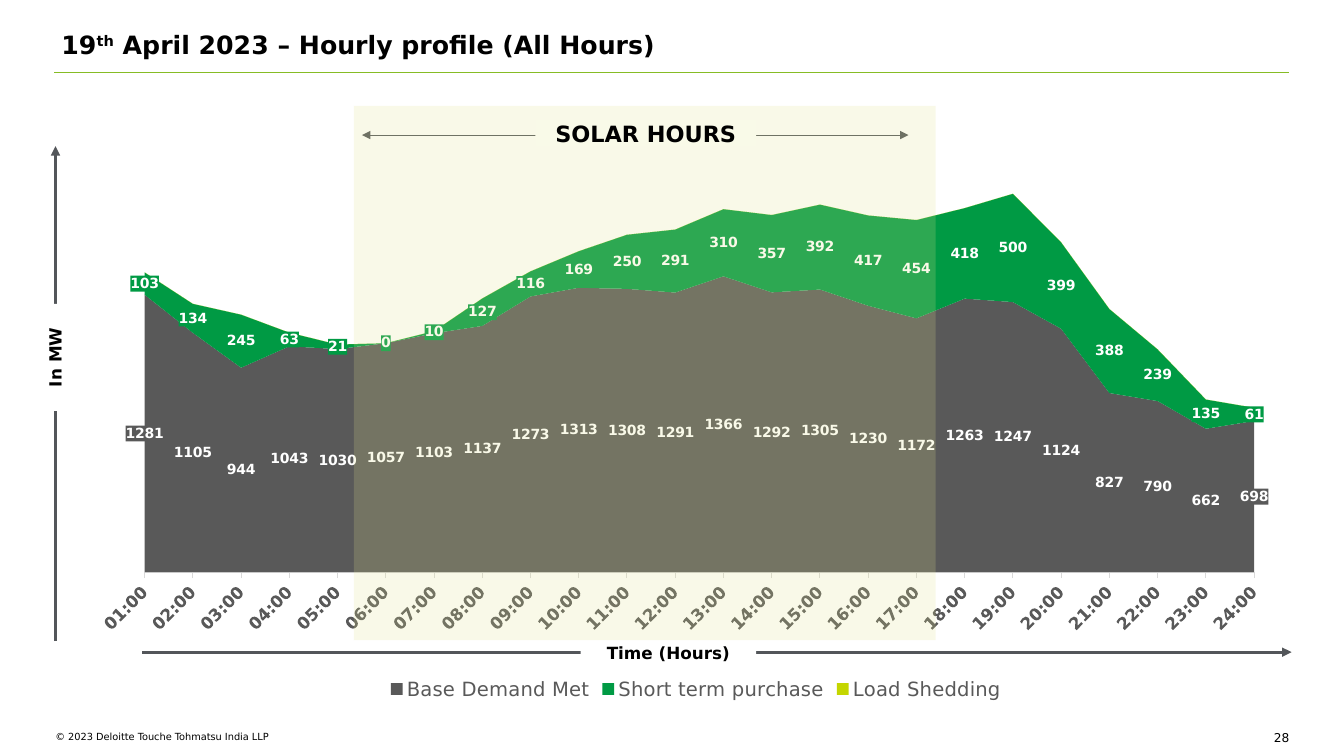
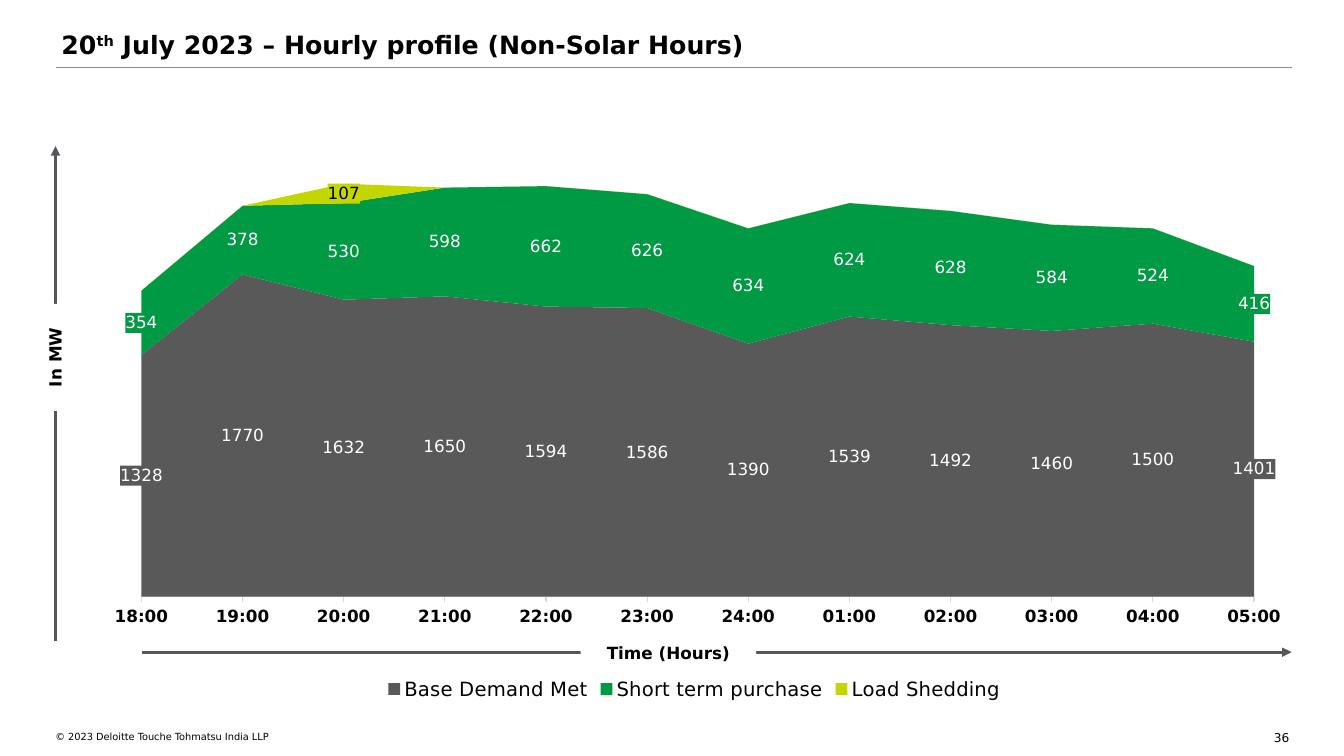
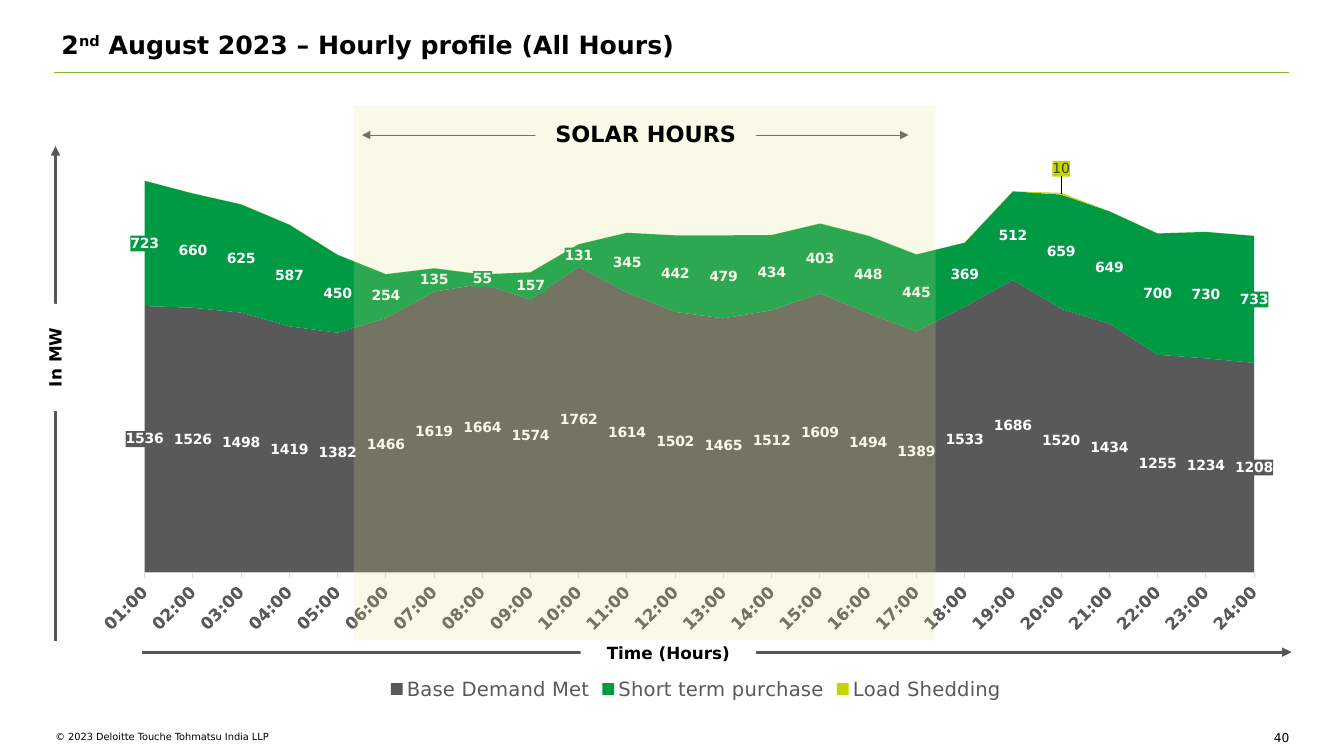
from dataclasses import dataclass

from pptx import Presentation
from pptx.chart.data import CategoryChartData
from pptx.dml.color import RGBColor
from pptx.enum.chart import XL_CHART_TYPE, XL_LEGEND_POSITION, XL_TICK_MARK
from pptx.enum.shapes import MSO_CONNECTOR, MSO_SHAPE
from pptx.enum.text import MSO_ANCHOR, MSO_AUTO_SIZE, PP_ALIGN
from pptx.oxml import parse_xml
from pptx.oxml.ns import nsdecls, qn
from pptx.util import Inches, Pt

AREA_STACKED = XL_CHART_TYPE.AREA_STACKED
LEGEND_BOTTOM = XL_LEGEND_POSITION.BOTTOM
TICK_OUT, TICK_NONE = XL_TICK_MARK.OUTSIDE, XL_TICK_MARK.NONE
STRAIGHT = MSO_CONNECTOR.STRAIGHT
RECT = MSO_SHAPE.RECTANGLE
TOP, MIDDLE = MSO_ANCHOR.TOP, MSO_ANCHOR.MIDDLE
NO_FIT = MSO_AUTO_SIZE.NONE
LEFT, CENTER, RIGHT = PP_ALIGN.LEFT, PP_ALIGN.CENTER, PP_ALIGN.RIGHT


@dataclass(frozen=True)
class Theme:
    font: str = "DejaVu Sans"
    black: str = "000000"
    white: str = "FFFFFF"
    gray: str = "595959"
    dark: str = "404040"
    arrow: str = "53565A"
    rule_green: str = "86BC25"
    rule_gray: str = "8C8C8C"
    axis: str = "D9D9D9"
    green: str = "009A44"
    lime: str = "C4D600"
    solar: str = "E3E48D"
    solar_label: str = "F9FAE8"
    title_size: float = 18
    solar_size: float = 16
    legend_size: float = 14
    axis_size: float = 12
    label_size: float = 10
    number_size: float = 8.7
    footer_size: float = 7


T = Theme()
HOURS = [f"{h:02}:00" for h in range(1, 25)]
SERIES = [
    ("Base Demand Met", T.gray),
    ("Short term purchase", T.green),
    ("Load Shedding", T.lime),
]
ALL_HOURS = dict(
    cats=HOURS, solar=True, rule=(0.54, 12.78, 0.72, T.rule_green, 1),
    chart_top=0.77, chart_height=6.22, plot_height=0.691, axis_color=T.gray,
    label_size=T.label_size, label_bold=True, shed_color=T.dark, rotation=-45,
)
NON_SOLAR = dict(
    cats=HOURS[17:] + HOURS[:5], solar=False, rule=(0.56, 12.81, 0.67, T.rule_gray, 0.75),
    chart_top=0.8, chart_height=6.19, plot_height=0.729, axis_color=T.black,
    label_size=T.axis_size, label_bold=False, shed_color=T.black, rotation=0,
)
SLIDES = [
    dict(
        ALL_HOURS, number=28, day="19", suffix="th",
        rest=" April 2023 – Hourly profile (All Hours)", top=2000, shed=None, shed_shift=0,
        base=[1281, 1105, 944, 1043, 1030, 1057, 1103, 1137, 1273, 1313, 1308, 1291,
              1366, 1292, 1305, 1230, 1172, 1263, 1247, 1124, 827, 790, 662, 698],
        short=[103, 134, 245, 63, 21, 0, 10, 127, 116, 169, 250, 291,
               310, 357, 392, 417, 454, 418, 500, 399, 388, 239, 135, 61],
    ),
    dict(
        NON_SOLAR, number=36, day="20", suffix="th",
        rest=" July 2023 – Hourly profile (Non-Solar Hours)", top=2500,
        shed=("20:00", 107), shed_shift=0,
        base=[1328, 1770, 1632, 1650, 1594, 1586, 1390, 1539, 1492, 1460, 1500, 1401],
        short=[354, 378, 530, 598, 662, 626, 634, 624, 628, 584, 524, 416],
    ),
    dict(
        ALL_HOURS, number=40, day="2", suffix="nd",
        rest=" August 2023 – Hourly profile (All Hours)", top=2500,
        shed=("20:00", 10), shed_shift=-0.04,
        base=[1536, 1526, 1498, 1419, 1382, 1466, 1619, 1664, 1574, 1762, 1614, 1502,
              1465, 1512, 1609, 1494, 1389, 1533, 1686, 1520, 1434, 1255, 1234, 1208],
        short=[723, 660, 625, 587, 450, 254, 135, 55, 157, 131, 345, 442,
               479, 434, 403, 448, 445, 369, 512, 659, 649, 700, 730, 733],
    ),
]


def add_text(sp, text, size=T.axis_size, bold=False, align=LEFT, anchor=TOP,
             inset=0, spacing=None, superscript=None):
    tf = sp.text_frame
    tf.auto_size = NO_FIT
    tf.word_wrap = True
    tf.vertical_anchor = anchor
    tf.margin_left = tf.margin_right = tf.margin_top = tf.margin_bottom = Inches(inset)
    p = tf.paragraphs[0]
    p.alignment = align
    if spacing:
        p.line_spacing = spacing
    for part in [text] if isinstance(text, str) else text:
        r = p.add_run()
        r.text = part
        r.font.name = T.font
        r.font.size = Pt(size)
        r.font.bold = bold
        r.font.color.rgb = RGBColor.from_string(T.black)
        if part == superscript:
            r._r.get_or_add_rPr().set("baseline", "30000")


def add_line(s, x1, y1, x2, y2, color, width, ends=()):
    line = s.shapes.add_connector(STRAIGHT, Inches(x1), Inches(y1), Inches(x2), Inches(y2))
    line.line.color.rgb = RGBColor.from_string(color)
    line.line.width = Pt(width)
    spPr = line._element.spPr
    for end in ends:
        spPr.find(qn("a:ln")).append(parse_xml(f'<a:{end} {nsdecls("a")} type="triangle"/>'))
    spPr.append(parse_xml(f'<a:effectLst {nsdecls("a")}/>'))


prs = Presentation()
prs.slide_width = Inches(13.33)
prs.slide_height = Inches(7.5)

for d in SLIDES:
    s = prs.slides.add_slide(prs.slide_layouts[5])
    title = s.shapes.title
    title.left, title.top, title.width, title.height = (
        Inches(0.61), Inches(0.29), Inches(12.21), Inches(0.38))
    add_text(title, [d["day"], d["suffix"], d["rest"]], size=T.title_size, bold=True,
             superscript=d["suffix"])
    for text, x, w, size, align in [
        ("© 2023 Deloitte Touche Tohmatsu India LLP", 0.55, 5.86, T.footer_size, LEFT),
        (str(d["number"]), 12.45, 0.34, T.number_size, RIGHT),
    ]:
        box = s.shapes.add_textbox(Inches(x), Inches(7.25), Inches(w), Inches(0.22))
        add_text(box, text, size=size, align=align)

    x1, x2, y, color, width = d["rule"]
    add_line(s, x1, y, x2, y, color, width)

    shed = [0] * len(d["cats"])
    if d["shed"]:
        hour, amount = d["shed"]
        peak = d["cats"].index(hour)
        shed[peak] = amount
    data = CategoryChartData(number_format="0")
    data.categories = d["cats"]
    for (name, _), values in zip(SERIES, (d["base"], d["short"], shed)):
        data.add_series(name, values)
    chart = s.shapes.add_chart(
        AREA_STACKED, Inches(0.99), Inches(d["chart_top"]), Inches(11.79),
        Inches(d["chart_height"]), data).chart
    chart.has_title = False
    chart.font.name = T.font
    chart.font.size = Pt(T.label_size)
    chart.has_legend = True
    legend = chart.legend
    legend.position = LEGEND_BOTTOM
    legend.include_in_layout = False
    legend.font.name = T.font
    legend.font.size = Pt(T.legend_size)
    legend.font.color.rgb = RGBColor.from_string(d["axis_color"])

    val = chart.value_axis
    val.minimum_scale, val.maximum_scale = 0, d["top"]
    val.has_major_gridlines = False
    val.visible = False
    val._element.find(qn("c:crossBetween")).set("val", "midCat")
    cat = chart.category_axis
    cat.has_major_gridlines = False
    cat.major_tick_mark, cat.minor_tick_mark = TICK_OUT, TICK_NONE
    cat.format.line.color.rgb = RGBColor.from_string(T.axis)
    cat.format.line.width = Pt(0.75)
    font = cat.tick_labels.font
    font.name, font.size, font.bold = T.font, Pt(T.axis_size), True
    font.color.rgb = RGBColor.from_string(d["axis_color"])
    cat._element.find(qn("c:txPr")).find(qn("a:bodyPr")).set("rot", str(d["rotation"] * 60000))

    plot_area = chart._chartSpace.chart.plotArea
    for layout in plot_area.findall(qn("c:layout")):
        plot_area.remove(layout)
    plot_area.insert(0, parse_xml(
        f'<c:layout {nsdecls("c")}><c:manualLayout><c:layoutTarget val="inner"/>'
        '<c:xMode val="edge"/><c:yMode val="edge"/><c:x val="0.035"/><c:y val="0.098"/>'
        f'<c:w val="0.936"/><c:h val="{d["plot_height"]}"/></c:manualLayout></c:layout>'))

    plot = chart.plots[0]
    plot.vary_by_categories = False
    for series, (name, color) in zip(plot.series, SERIES):
        series.format.fill.solid()
        series.format.fill.fore_color.rgb = RGBColor.from_string(color)
        if color == T.lime:
            if not d["shed"]:
                continue
            font = series.points[peak].data_label.font
            series.data_labels.show_value = False
            label = series._element.find(qn("c:dLbls")).find(qn("c:dLbl"))
            if d["shed_shift"]:
                label.find(qn("c:idx")).addnext(parse_xml(
                    f'<c:layout {nsdecls("c")}><c:manualLayout><c:x val="0"/>'
                    f'<c:y val="{d["shed_shift"]}"/></c:manualLayout></c:layout>'))
            font.bold = False
            text_color = d["shed_color"]
        else:
            labels = series.data_labels
            labels.show_value = True
            labels.number_format = "0"
            labels.number_format_is_linked = False
            font = labels.font
            font.bold = d["label_bold"]
            label = series._element.find(qn("c:dLbls"))
            text_color = T.white
        font.name, font.size = T.font, Pt(d["label_size"])
        font.color.rgb = RGBColor.from_string(text_color)
        label.find(qn("c:txPr")).addprevious(parse_xml(
            f'<c:spPr {nsdecls("c", "a")}><a:solidFill><a:srgbClr val="{color}"/>'
            '</a:solidFill></c:spPr>'))

    add_line(s, 1.41, 6.47, 12.81, 6.47, T.arrow, 2.25, ["tailEnd"])
    add_line(s, 0.55, 6.36, 0.55, 1.45, T.arrow, 2.25, ["tailEnd"])
    boxes = [
        ("In MW", 0.01, 3.34, 1.06, 0.41, 270, T.white, T.axis_size),
        ("Time (Hours)", 5.76, 6.34, 1.74, 0.26, 0, T.white, T.axis_size),
    ]
    if d["solar"]:
        add_line(s, 3.59, 1.34, 9.01, 1.34, T.arrow, 0.75, ["headEnd", "tailEnd"])
        boxes += [
            ("", 3.51, 1.05, 5.77, 5.3, 0, T.solar, T.axis_size),
            ("SOLAR HOURS", 5.31, 1.19, 2.19, 0.26, 0, T.solar_label, T.solar_size),
        ]
    for text, x, y, w, h, rotation, color, size in boxes:
        sp = s.shapes.add_shape(RECT, Inches(x), Inches(y), Inches(w), Inches(h))
        sp.rotation = rotation
        sp.shadow.inherit = False
        sp.line.fill.background()
        sp.fill.solid()
        sp.fill.fore_color.rgb = RGBColor.from_string(color)
        if text:
            add_text(sp, text, size=size, bold=True, align=CENTER, anchor=MIDDLE,
                     inset=0.1, spacing=1.06)
        else:
            sp._element.spPr.find(qn("a:solidFill"))[0].append(
                parse_xml(f'<a:alpha {nsdecls("a")} val="20000"/>'))

prs.save("out.pptx")
